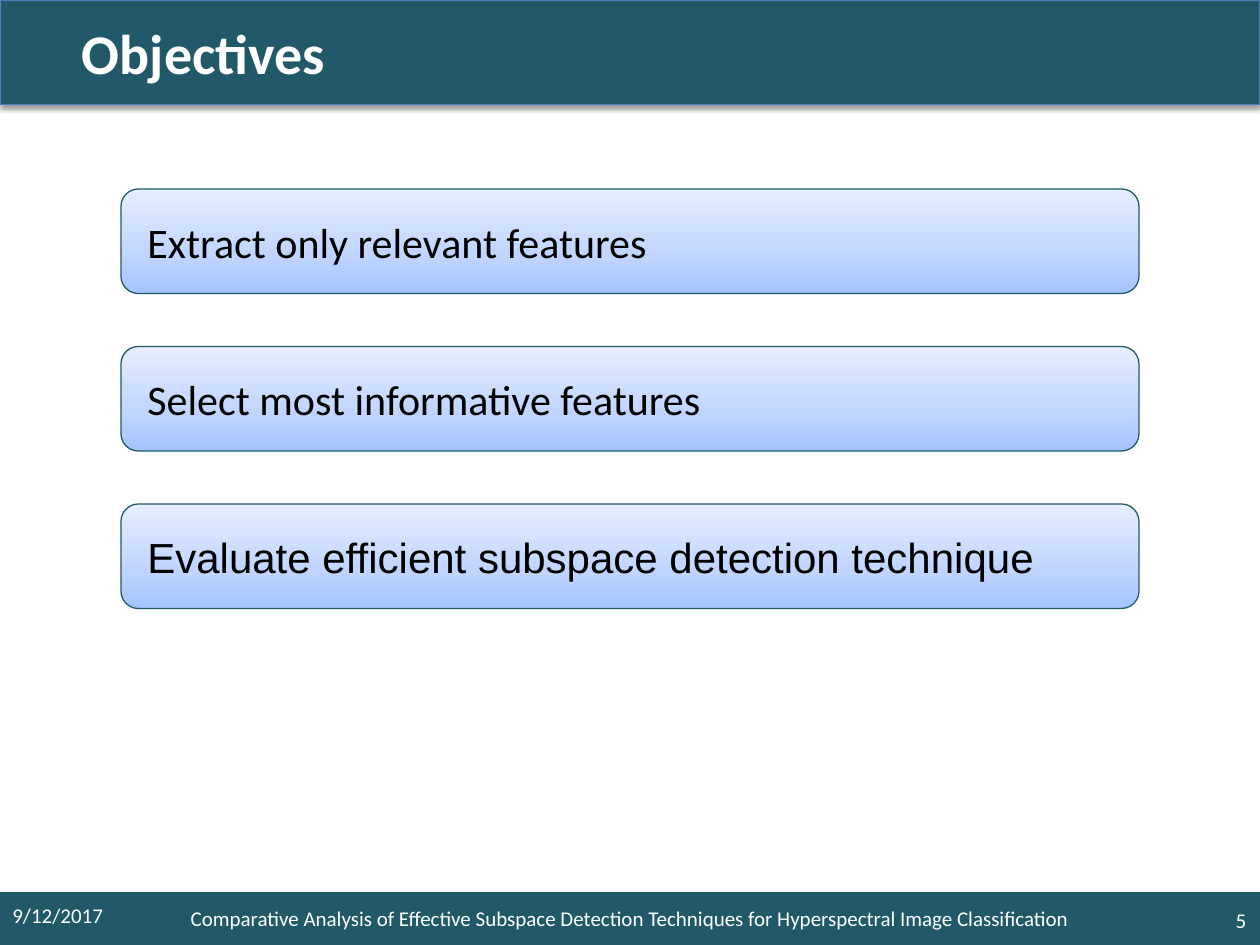
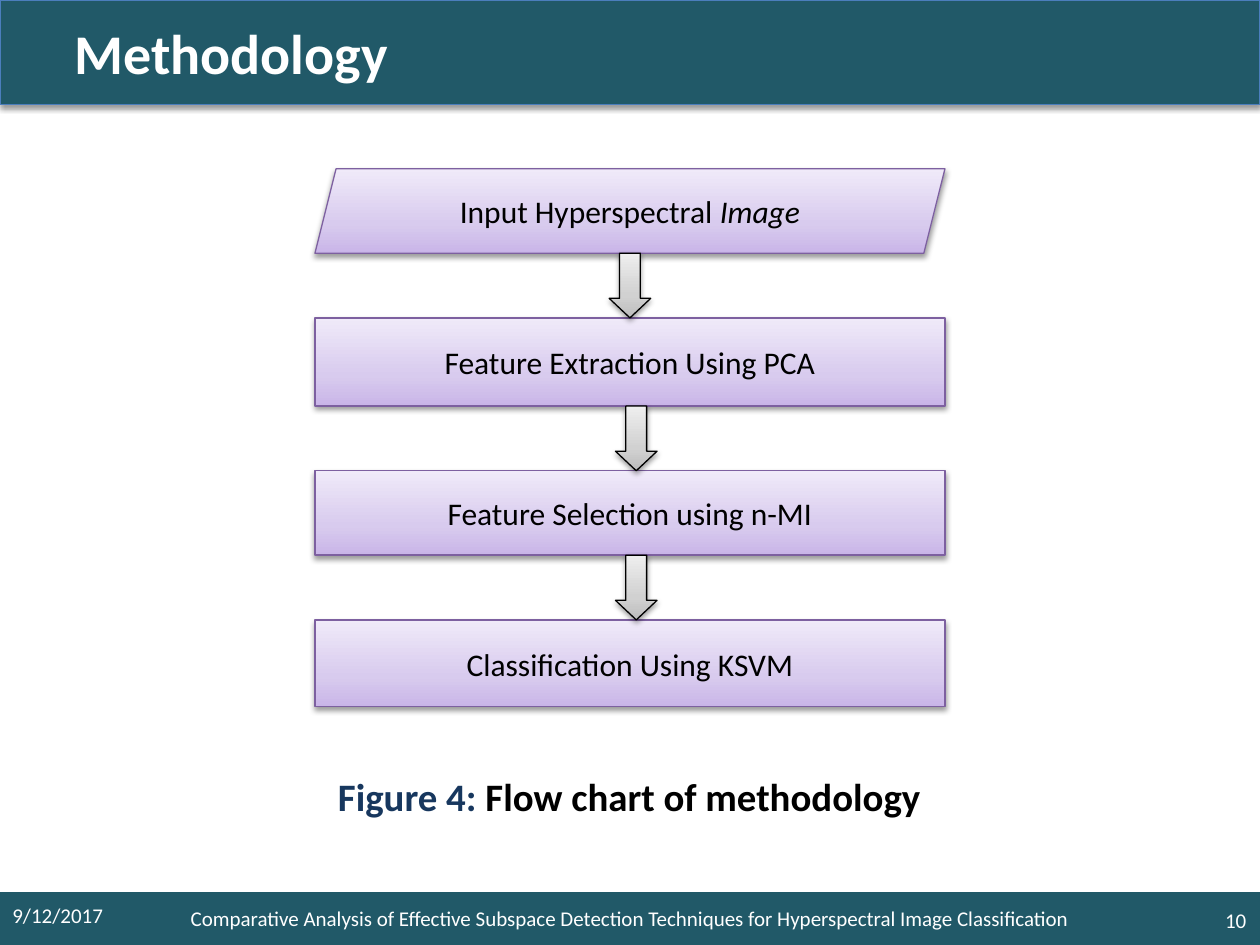
from collections import namedtuple
from dataclasses import dataclass

from lxml.etree import SubElement
from pptx import Presentation
from pptx.dml.color import RGBColor
from pptx.enum.shapes import MSO_SHAPE as Preset
from pptx.enum.text import MSO_ANCHOR as Anchor, PP_ALIGN as Align
from pptx.oxml.ns import qn
from pptx.util import Inches, Pt

Box = namedtuple("Box", "left top width height")


@dataclass(frozen=True)
class Theme:
    font: str = "Calibri"
    plain_font: str = "Arial"
    band: str = "215968"
    band_line: str = "4B7EBC"
    white: str = "FFFFFF"
    black: str = "000000"
    navy: str = "17375E"
    step_line: str = "7D60A0"
    # Gradients run from the bottom edge to the top edge.
    blue: tuple = ("A4C4FF", "BFD4FF", "E6EEFF")
    purple: tuple = ("C9B5E8", "D8CBEE", "F0EAF9")
    gray: tuple = ("BDBDBD", "D1D1D1", "EEEEEE")
    title_size: float = 32
    objective_size: float = 24
    caption_size: float = 22.2
    step_size: float = 18
    footer_size: float = 12
    line_width: float = 0.75


THEME = Theme()
PAGE = Box(0, 0, 10, 7.5)
TITLE_BAND = Box(0, 0, PAGE.width, 0.83)
FOOTER_BAND = Box(0, 7.08, PAGE.width, 0.42)
FOOTER_TEXT = ("Comparative Analysis of Effective Subspace Detection "
               "Techniques for Hyperspectral Image Classification")
DATE = "9/12/2017"


def rgb(color):
    return RGBColor.from_string(color)


def fill_gradient(shape, colors):
    shape.fill.gradient()
    shape.fill.gradient_angle = 90
    stops = shape._element.spPr.find(qn("a:gradFill")).find(qn("a:gsLst"))
    for stop in list(stops):
        stops.remove(stop)
    for position, color in zip((0, 35000, 100000), colors):
        stop = SubElement(stops, qn("a:gs"), pos=str(position))
        SubElement(stop, qn("a:srgbClr"), val=color)


def add_shadow(shape):
    effects = shape._element.spPr.find(qn("a:effectLst"))
    shadow = SubElement(effects, qn("a:outerShdw"), blurRad="40000",
                        dist="20000", dir="5400000", rotWithShape="0")
    color = SubElement(shadow, qn("a:srgbClr"), val=THEME.black)
    SubElement(color, qn("a:alpha"), val="38000")


def add_panel(page, preset, box, fill, line=None, shadow=False):
    """Add a preset shape; fill is one colour or a tuple of gradient colours."""
    shape = page.shapes.add_shape(preset, *map(Inches, box))
    if isinstance(fill, tuple):
        fill_gradient(shape, fill)
    else:
        shape.fill.solid()
        shape.fill.fore_color.rgb = rgb(fill)
    if line:
        shape.line.color.rgb = rgb(line)
        shape.line.width = Pt(THEME.line_width)
    else:
        shape.line.fill.background()
    shape.shadow.inherit = False
    if shadow:
        add_shadow(shape)
    return shape


def write(shape, spans, size, color, align=Align.LEFT, margin=0.1,
          anchor=Anchor.MIDDLE):
    """Write one paragraph; each span is a text and its font settings."""
    frame = shape.text_frame
    frame.word_wrap = True
    frame.vertical_anchor = anchor
    frame.margin_left = Inches(margin)
    para = frame.paragraphs[0]
    para.alignment = align
    for text, settings in spans:
        span = para.add_run()
        span.text = text
        font = span.font
        font.name = settings.get("font", THEME.font)
        font.size = Pt(size)
        font.bold = settings.get("bold", False)
        font.italic = settings.get("italic", False)
        font.color.rgb = rgb(settings.get("color", color))


def add_label(page, box, spans, size, color, **layout):
    label = page.shapes.add_textbox(*map(Inches, box))
    write(label, spans, size, color, **layout)


def add_title_band(page, box, title, indent):
    band = add_panel(page, Preset.RECTANGLE, box, THEME.band,
                     THEME.band_line, shadow=True)
    write(band, [(title, {"bold": True})], THEME.title_size, THEME.white,
          margin=indent)


def add_footer_band(page, box, number):
    band = add_panel(page, Preset.RECTANGLE, box, THEME.band)
    style = (THEME.footer_size, THEME.white)
    write(band, [(FOOTER_TEXT, {})], *style, align=Align.CENTER)
    add_label(page, Box(box.left, box.top - 0.02, 1.17, 0.4),
              [(DATE, {})], *style)
    add_label(page, Box(box.left + box.width - 0.43, box.top + 0.02, 0.42, 0.4),
              [(str(number), {})], *style, align=Align.RIGHT)


def add_page(deck, title, indent, number):
    page = deck.slides.add_slide(deck.slide_layouts[6])
    add_title_band(page, TITLE_BAND, title, indent)
    add_footer_band(page, FOOTER_BAND, number)
    return page


def add_objectives(page, box, objectives):
    height = 0.83
    pitch = (box.height - height) / (len(objectives) - 1)
    for index, (text, settings) in enumerate(objectives):
        place = Box(box.left, box.top + index * pitch, box.width, height)
        card = add_panel(page, Preset.ROUNDED_RECTANGLE, place, THEME.blue,
                         THEME.band)
        write(card, [(text, settings)], THEME.objective_size, THEME.black,
              margin=0.17)


def add_down_arrow(page, box):
    arrow = add_panel(page, Preset.DOWN_ARROW, box, THEME.gray, THEME.black,
                      shadow=True)
    arrow.adjustments[0] = 0.5
    arrow.adjustments[1] = 0.47


def add_flow_chart(page, box, steps):
    """Stack the steps from the top of the box, with an arrow in each gap.

    A step is its preset, its height, the shift of the arrow above it from
    the middle (None for no arrow) and its spans.
    """
    arrow_width = 0.33
    gap = (box.height - sum(step[1] for step in steps)) / (len(steps) - 1)
    center = box.left + box.width / 2
    top = box.top
    for preset, height, arrow_shift, spans in steps:
        step = add_panel(page, preset, Box(box.left, top, box.width, height),
                         THEME.purple, THEME.step_line, shadow=True)
        write(step, spans, THEME.step_size, THEME.black, align=Align.CENTER)
        if arrow_shift is not None:
            add_down_arrow(page, Box(center + arrow_shift - arrow_width / 2,
                                     top - gap, arrow_width, gap))
        top += height + gap


def add_caption(page, box, label, text):
    spans = [(label, {"bold": True, "color": THEME.navy}),
             (text, {"bold": True})]
    add_label(page, box, spans, THEME.caption_size, THEME.black,
              align=Align.CENTER, anchor=Anchor.TOP)


def build_objectives_page(deck):
    page = add_page(deck, "Objectives", 0.65, 5)
    add_objectives(page, Box(0.96, 1.5, 8.08, 3.33), [
        ("Extract only relevant features", {}),
        ("Select most informative features", {}),
        ("Evaluate efficient subspace detection technique",
         {"font": THEME.plain_font}),
    ])


def build_methodology_page(deck):
    page = add_page(deck, "Methodology", 0.59, 10)
    add_flow_chart(page, Box(2.5, 1.34, 5, 4.27), [
        (Preset.PARALLELOGRAM, 0.67, None,
         [("Input Hyperspectral ", {}), ("Image", {"italic": True})]),
        (Preset.RECTANGLE, 0.7, 0, [("Feature Extraction Using PCA", {})]),
        (Preset.RECTANGLE, 0.67, 0.05, [("Feature Selection using n-MI", {})]),
        (Preset.RECTANGLE, 0.69, 0.05, [("Classification Using KSVM", {})]),
    ])
    add_caption(page, Box(2.12, 6.08, 5.75, 0.43), "Figure 4: ",
                "Flow chart of methodology")


def main():
    deck = Presentation()
    deck.slide_width = Inches(PAGE.width)
    deck.slide_height = Inches(PAGE.height)
    build_objectives_page(deck)
    build_methodology_page(deck)
    deck.save("out.pptx")


if __name__ == "__main__":
    main()
